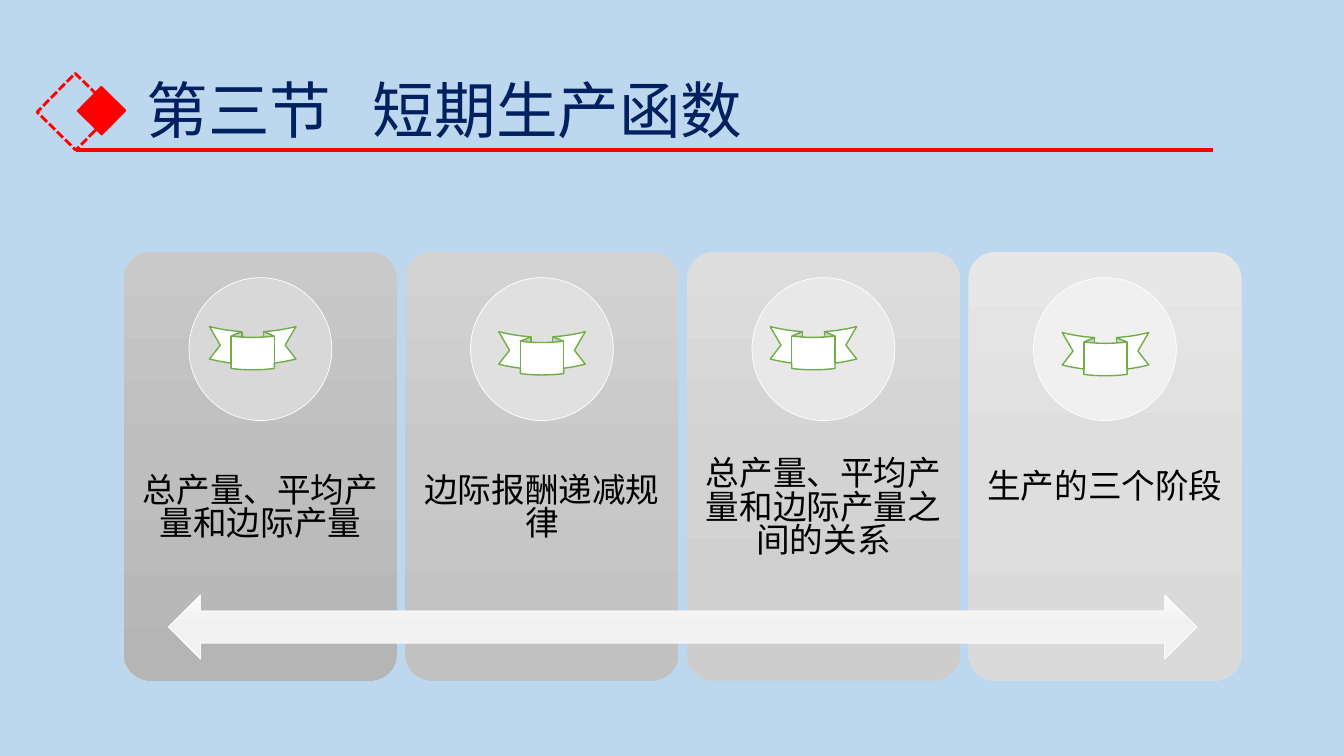
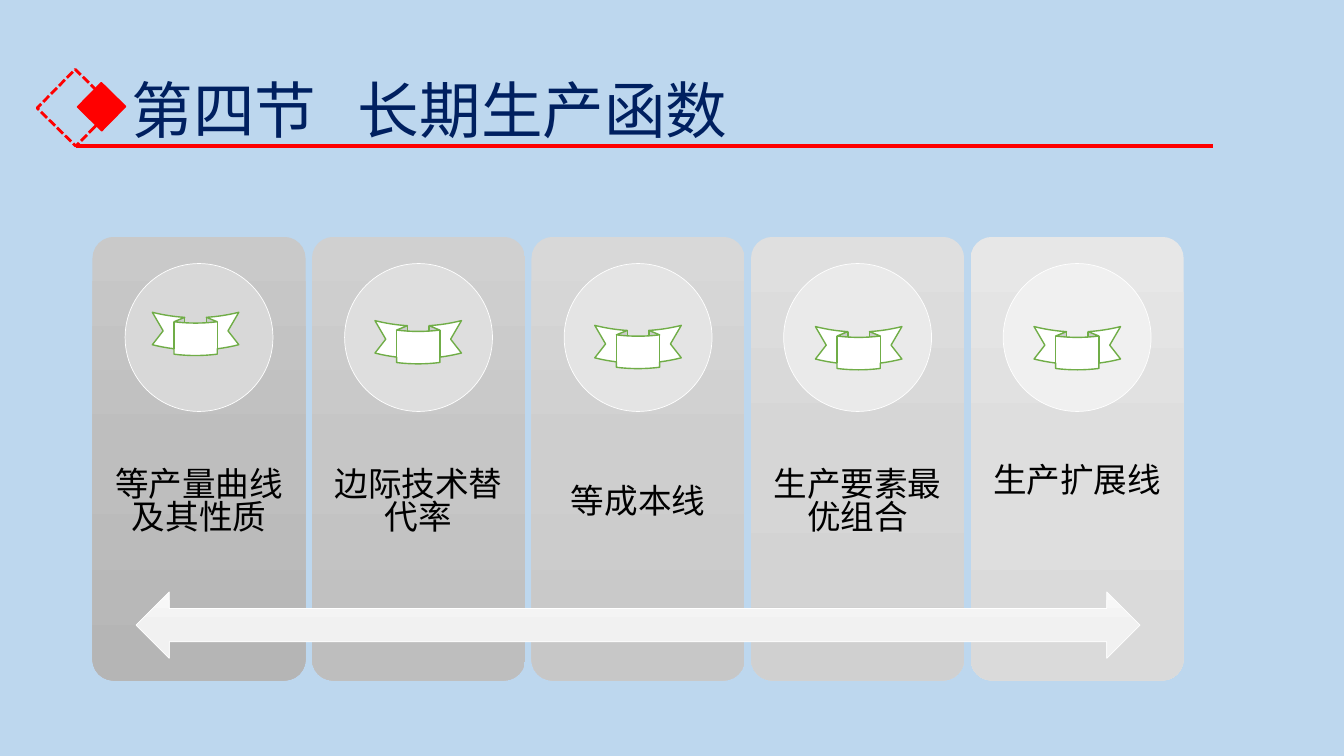
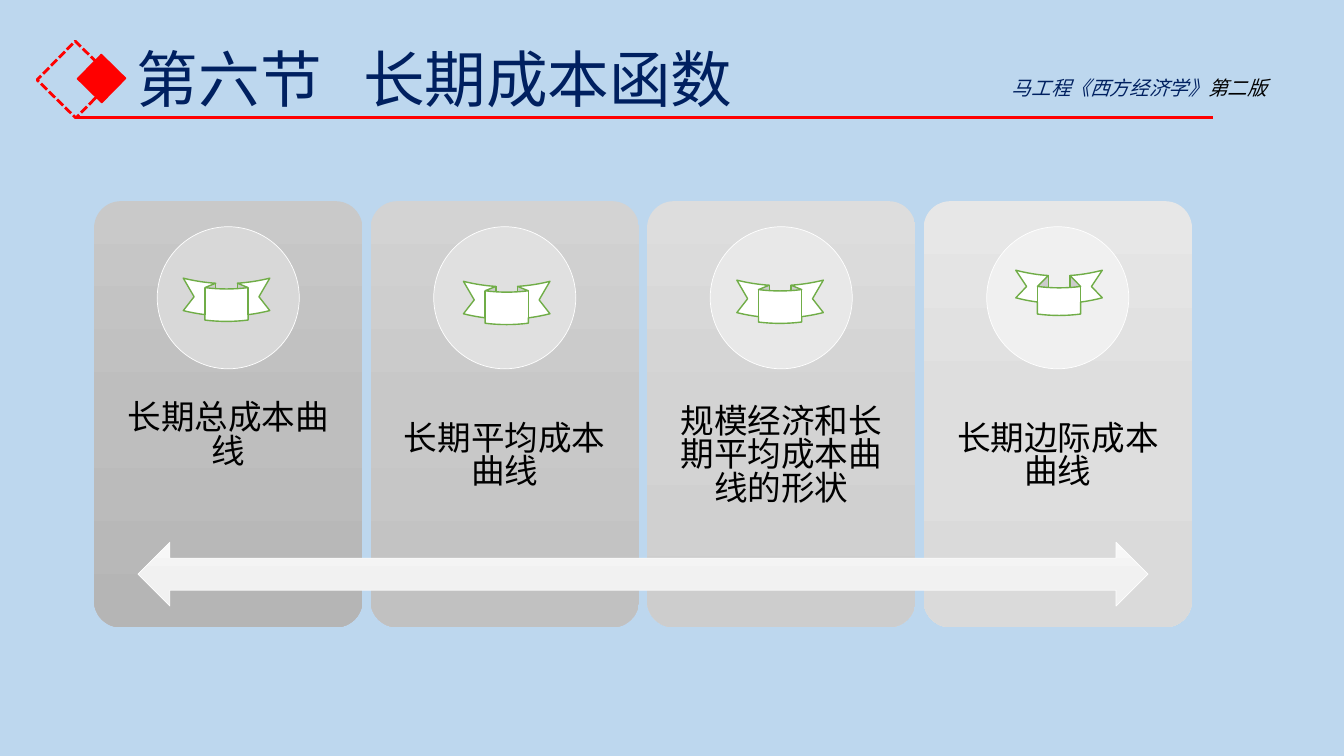
import copy
from dataclasses import dataclass

import pptx
import pptx.dml.color
import pptx.enum.dml
import pptx.enum.lang
import pptx.enum.shapes
import pptx.enum.text
import pptx.oxml
import pptx.oxml.ns
import pptx.util
from lxml import etree

Cm = pptx.util.Cm
Pt = pptx.util.Pt
RGB = pptx.dml.color.RGBColor
SHAPE = pptx.enum.shapes.MSO_SHAPE
qn = pptx.oxml.ns.qn


@dataclass(frozen=True)
class Theme:
    font: str = "Noto Sans CJK SC"
    background: RGB = RGB(0xBD, 0xD7, 0xEE)
    navy: RGB = RGB(0x00, 0x20, 0x60)
    red: RGB = RGB(0xFF, 0x00, 0x00)
    green: RGB = RGB(0x70, 0xAD, 0x47)
    white: RGB = RGB(0xFF, 0xFF, 0xFF)
    black: RGB = RGB(0x00, 0x00, 0x00)
    # Grey levels on the first and the last card: top, middle, bottom, circle
    first_greys: tuple = (0xC9, 0xBE, 0xB5, 0xD8)
    last_greys: tuple = (0xE7, 0xDE, 0xDA, 0xF0)
    arrow_greys: tuple = (0xFA, 0xF1, 0xF0)
    title_size: Pt = Pt(44)
    card_size: Pt = Pt(24)
    credit_size: Pt = Pt(14)


theme = Theme()


def add_shape(slide, kind, box, fill=None, line=None, line_width=1):
    """Add a preset shape; box is in cm, a list as fill is a downward gradient."""
    shape = slide.shapes.add_shape(kind, *[Cm(length) for length in box])
    shape.shadow.inherit = False
    if fill is None:
        shape.fill.background()
    elif isinstance(fill, list):
        shape.fill.gradient()
        shape.fill.gradient_angle = 270
        stops = shape.element.spPr.find(".//" + qn("a:gsLst"))
        stops.insert(1, copy.deepcopy(stops[0]))
        for stop, position, color in zip(shape.fill.gradient_stops, (0, 0.5, 1), fill):
            stop.position = position
            stop.color.rgb = color
    else:
        shape.fill.solid()
        shape.fill.fore_color.rgb = fill
    if line is None:
        shape.line.fill.background()
    else:
        shape.line.color.rgb = line
        shape.line.width = Pt(line_width)
    return shape


def add_text(slide, box, runs, size, line_spacing, italic=False):
    """Add a one-paragraph text box; runs holds (text, colour) pairs."""
    text_box = slide.shapes.add_textbox(*[Cm(length) for length in box])
    frame = text_box.text_frame
    frame.word_wrap = True
    paragraph = frame.paragraphs[0]
    paragraph.line_spacing = line_spacing
    for text, color in runs:
        run = paragraph.add_run()
        run.text = text
        run.font.size = size
        run.font.italic = italic or None
        run.font.color.rgb = color
        run.font.name = theme.font
        run.font.language_id = pptx.enum.lang.MSO_LANGUAGE_ID.SIMPLIFIED_CHINESE
        east_asian = etree.SubElement(run.font._element, qn("a:ea"))
        east_asian.set("typeface", theme.font)
    return frame


# Cards: text, whether it sits half a line higher, left and top of the ribbon (cm)
sections = [
    {
        "title": ("第三节", "短期生产函数"),
        "title_at": (3.45, 1.02),
        "rule_top": 3.78,
        "area": (3.12, 6.35, 28.17, 10.8),
        "cards": [
            ("总产量、平均产量和边际产量", False, 5.28, 8.23),
            ("边际报酬递减规律", False, 12.57, 8.36),
            ("总产量、平均产量和边际产量之间的关系", False, 19.41, 8.23),
            ("生产的三个阶段", True, 26.77, 8.38),
        ],
    },
    {
        "title": ("第四节", "长期生产函数"),
        "title_at": (3.07, 1.02),
        "rule_top": 3.68,
        "area": (2.33, 5.97, 27.5, 11.18),
        "cards": [
            ("等产量曲线及其性质", False, 3.84, 7.87),
            ("边际技术替代率", False, 9.45, 8.08),
            ("等成本线", False, 14.99, 8.2),
            ("生产要素最优组合", False, 20.55, 8.23),
            ("生产扩展线", True, 26.06, 8.23),
        ],
    },
    {
        "title": ("第六节", "长期成本函数"),
        "title_at": (3.2, 0.23),
        "rule_top": 2.97,
        "area": (2.37, 5.07, 27.67, 10.74),
        "cards": [
            ("长期总成本曲线", True, 4.62, 7.01),
            ("长期平均成本曲线", False, 11.68, 7.09),
            ("规模经济和长期平均成本曲线的形状", False, 18.57, 7.06),
            ("长期边际成本曲线", False, 25.6, 6.81),
        ],
    },
]

presentation = pptx.Presentation()
presentation.slide_width = Cm(33.87)
presentation.slide_height = Cm(19.05)
blank_layout = presentation.slide_layouts[6]

for section in sections:
    slide = presentation.slides.add_slide(blank_layout)
    slide.background.fill.solid()
    slide.background.fill.fore_color.rgb = theme.background

    # Title, with a tab stop between section number and name
    title_left, title_top = section["title_at"]
    title = add_text(slide, (title_left, title_top, 31.55 - title_left, 3.68),
                     [("\t".join(section["title"]), theme.navy)], theme.title_size, 0.9)
    title.vertical_anchor = pptx.enum.text.MSO_ANCHOR.MIDDLE
    tab_list = etree.SubElement(title.paragraphs[0]._p.get_or_add_pPr(), qn("a:tabLst"))
    etree.SubElement(tab_list, qn("a:tab"), pos=str(int(Cm(5.7))), algn="l")

    # Cards, with a gap of 3 % of their width
    left, top, width, height = section["area"]
    cards = section["cards"]
    card_width = width / (len(cards) + 0.03 * (len(cards) - 1))
    diameter = height / 3
    for index, (text, raised, ribbon_left, ribbon_top) in enumerate(cards):
        share = index / (len(cards) - 1)
        levels = [int(first + (last - first) * share)
                  for first, last in zip(theme.first_greys, theme.last_greys)]
        *gradient, circle_fill = [RGB(level, level, level) for level in levels]
        card_left = left + index * card_width * 1.03
        card = add_shape(slide, SHAPE.ROUNDED_RECTANGLE,
                         (card_left, top, card_width, height), gradient)
        card.adjustments[0] = 0.1
        label = add_text(slide, (card_left, top + 0.4 * height, card_width, 0.4 * height),
                         [(text, theme.black)], theme.card_size, 0.83)
        label.vertical_anchor = pptx.enum.text.MSO_ANCHOR.MIDDLE
        label.paragraphs[0].alignment = pptx.enum.text.PP_ALIGN.CENTER
        label.margin_left = label.margin_right = label.margin_top = Cm(0.48)
        label.margin_bottom = Cm(1.5 if raised else 0.48)
        add_shape(slide, SHAPE.OVAL,
                  (card_left + (card_width - diameter) / 2, top + 0.06 * height,
                   diameter, diameter), circle_fill, theme.white, 0.5)

    add_shape(slide, SHAPE.LEFT_RIGHT_ARROW,
              (left + 0.04 * width, top + 0.8 * height, 0.92 * width, 0.15 * height),
              [RGB(level, level, level) for level in theme.arrow_greys], theme.white, 0.5)

    # Header ornament
    rule_top = section["rule_top"]
    dashed_square = add_shape(slide, SHAPE.RECTANGLE, (1.22, rule_top - 1.65, 1.37, 1.37),
                              line=theme.red, line_width=2)
    dashed_square.line.dash_style = pptx.enum.dml.MSO_LINE.SQUARE_DOT
    red_square = add_shape(slide, SHAPE.RECTANGLE, (2.13, rule_top - 1.42, 0.86, 0.86),
                           theme.red, theme.red)
    dashed_square.rotation = red_square.rotation = 314.5
    rule = slide.shapes.add_connector(pptx.enum.shapes.MSO_CONNECTOR.STRAIGHT,
                                      Cm(1.91), Cm(rule_top), Cm(30.58), Cm(rule_top))
    rule.line.color.rgb = theme.red
    rule.line.width = Pt(2.25)
    etree.SubElement(rule._element.spPr, qn("a:effectLst"))

    for text, raised, ribbon_left, ribbon_top in cards:
        ribbon = add_shape(slide, SHAPE.CURVED_DOWN_RIBBON,
                           (ribbon_left, ribbon_top, 2.18, 1.09), theme.white, theme.green)

# The last ribbon is a little taller and more curved, and the last slide names the book
ribbon.height = Cm(1.14)
ribbon.adjustments[0] = 0.39
add_text(slide, (25.25, 1.85, 8.23, 0.86),
         [("马工程《西方经济学》", theme.navy), ("第二版", theme.black)],
         theme.credit_size, 0.9, italic=True)

presentation.save("out.pptx")
